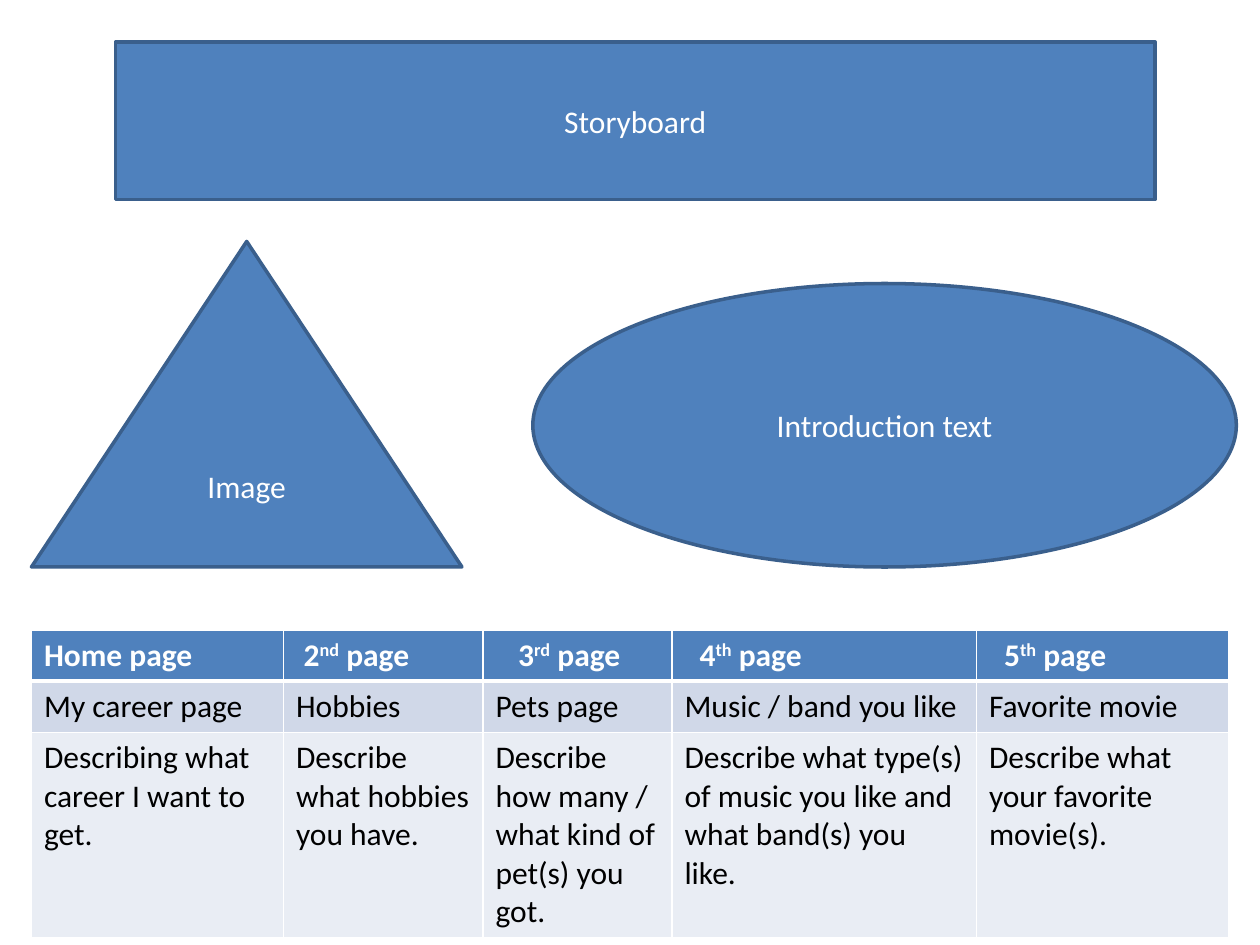
from dataclasses import dataclass

from lxml import etree
from pptx import Presentation
from pptx import util as u
from pptx.dml.color import RGBColor
from pptx.enum import shapes, text
from pptx.oxml.ns import qn

COLORS = {"blue": "4F81BD", "outline": "3A5F8C", "white": "FFFFFF",
          "black": "000000", "band": "D0D8E8", "pale": "E9EDF4"}
CELL = u.Inches(1) / 12  # the slide is a grid of 120 columns by 90 rows
COLS, ROWS = 120, 90
SPACE = 0.06  # inches, one step of heading indent


@dataclass
class Block:
    label: str
    kind: shapes.MSO_SHAPE
    col: float
    row: float
    cols: float
    rows: float


@dataclass
class Page:
    number: str
    suffix: str
    steps: int  # heading indent
    topic: str
    description: str
    cols: float


BLOCKS = [
    Block("Introduction text", shapes.MSO_SHAPE.OVAL, 50.75, 27, 67, 27),
    Block("Image", shapes.MSO_SHAPE.ISOSCELES_TRIANGLE, 3, 23, 41, 31),
    Block("Storyboard", shapes.MSO_SHAPE.RECTANGLE, 11, 4, 99, 15),
]
PAGES = [
    Page("Home", "", 0, "My career page",
         "Describing what career I want to get.", 24),
    Page("2", "nd", 1, "Hobbies", "Describe what hobbies you have.", 19),
    Page("3", "rd", 3, "Pets page",
         "Describe how many / what kind of pet(s) you got.", 18),
    Page("4", "th", 2, "Music / band you like",
         "Describe what type(s) of music you like and what band(s) you like.", 29),
    Page("5", "th", 2, "Favorite movie",
         "Describe what your favorite movie(s).", 24),
]
TABLE_COL, TABLE_ROW = 3, 60
TABLE_ROWS = [4.8, 4.9, 19.2]


def grid(n: float) -> u.Emu:
    return u.Emu(round(n * CELL))


def rgb(name: str) -> RGBColor:
    return RGBColor.from_string(COLORS[name])


def add_text(p, content: str, *, color: str, bold: bool = False,
             raised: bool = False) -> None:
    r = p.add_run()
    r.text = content
    r.font.name, r.font.size, r.font.bold = "Calibri", u.Pt(18), bold
    r.font.color.rgb = rgb(color)
    if raised:
        r.font._element.set("baseline", "30000")


def draw_block(s, b: Block) -> None:
    sp = s.shapes.add_shape(b.kind, *map(grid, (b.col, b.row, b.cols, b.rows)))
    sp.shadow.inherit = False
    sp.fill.solid()
    sp.fill.fore_color.rgb = rgb("blue")
    sp.line.color.rgb, sp.line.width = rgb("outline"), u.Pt(2)
    tf = sp.text_frame
    tf.word_wrap, tf.vertical_anchor = True, text.MSO_ANCHOR.MIDDLE
    p = tf.paragraphs[0]
    p.alignment = text.PP_ALIGN.CENTER
    add_text(p, b.label, color="white")


def style_cell(cell, fill: str, top: float = 1, bottom: float = 1) -> None:
    tc_pr = cell._tc.get_or_add_tcPr()
    for side, width in (("L", 1), ("R", 1), ("T", top), ("B", bottom)):
        ln = etree.SubElement(tc_pr, qn(f"a:ln{side}"), w=str(u.Pt(width)))
        solid = etree.SubElement(ln, qn("a:solidFill"))
        etree.SubElement(solid, qn("a:srgbClr"), val=COLORS["white"])
    cell.fill.solid()
    cell.fill.fore_color.rgb = rgb(fill)


def draw_table(s, pages: list[Page]) -> None:
    table = s.shapes.add_table(
        len(TABLE_ROWS), len(pages), grid(TABLE_COL), grid(TABLE_ROW),
        grid(sum(pg.cols for pg in pages)), grid(sum(TABLE_ROWS))).table
    for row, height in zip(table.rows, TABLE_ROWS):
        row.height = grid(height)
    for i, pg in enumerate(pages):
        table.columns[i].width = grid(pg.cols)
        head, topic, description = (table.cell(j, i) for j in range(3))
        # Heading with a raised ordinal suffix
        style_cell(head, "blue", bottom=3)
        head.margin_left = u.Inches(0.1 + pg.steps * SPACE)
        p = head.text_frame.paragraphs[0]
        add_text(p, pg.number, color="white", bold=True)
        if pg.suffix:
            add_text(p, pg.suffix, color="white", bold=True, raised=True)
        add_text(p, " page", color="white", bold=True)
        # Body
        style_cell(topic, "band", top=3)
        style_cell(description, "pale")
        for cell, content in ((topic, pg.topic), (description, pg.description)):
            add_text(cell.text_frame.paragraphs[0], content, color="black")


def main() -> None:
    prs = Presentation()
    prs.slide_width, prs.slide_height = grid(COLS), grid(ROWS)
    s = prs.slides.add_slide(prs.slide_layouts[6])
    for block in BLOCKS:
        draw_block(s, block)
    draw_table(s, PAGES)
    prs.save("out.pptx")


if __name__ == "__main__":
    main()
